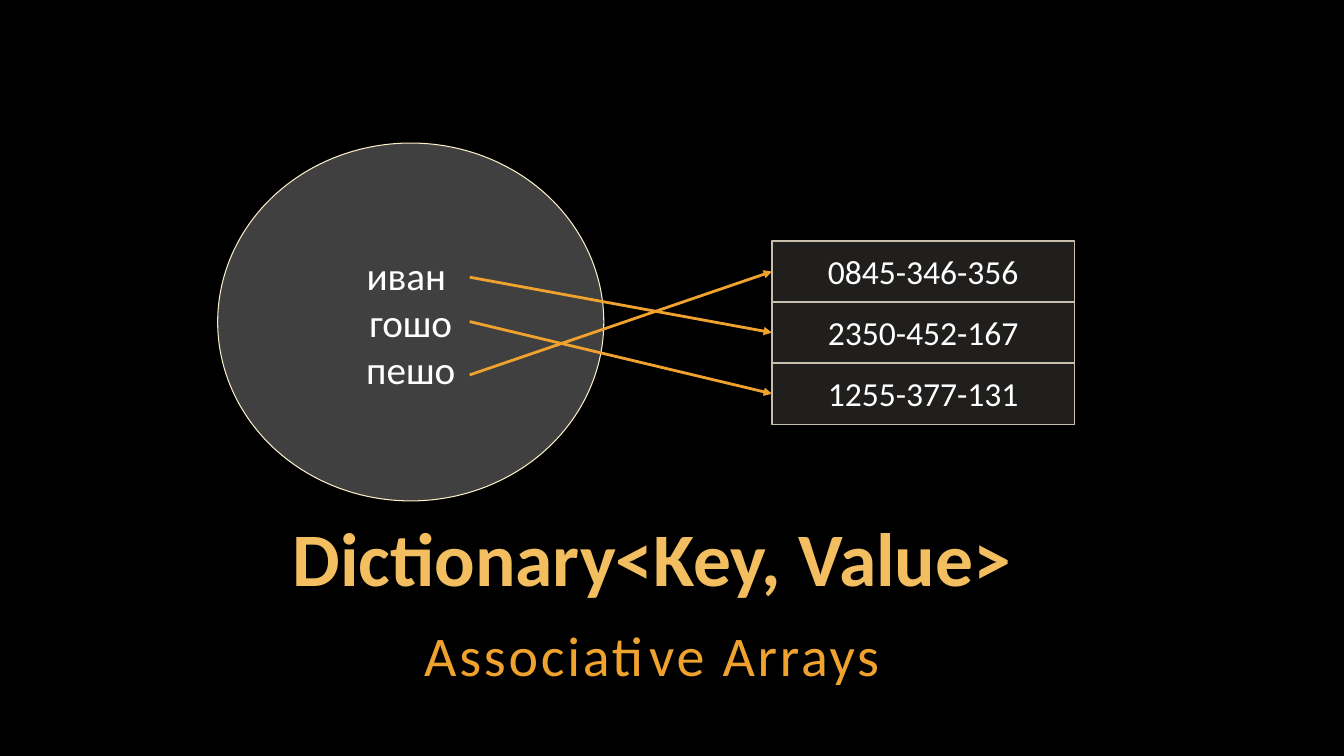
from dataclasses import dataclass

from lxml import etree
from pptx import Presentation
from pptx.dml.color import RGBColor
from pptx.enum.shapes import MSO_CONNECTOR, MSO_SHAPE
from pptx.enum.text import MSO_ANCHOR, PP_ALIGN
from pptx.oxml.ns import qn
from pptx.util import Pt

OVAL, RECT = MSO_SHAPE.OVAL, MSO_SHAPE.RECTANGLE
LINE = MSO_CONNECTOR.STRAIGHT
TOP, MID, LOW = MSO_ANCHOR.TOP, MSO_ANCHOR.MIDDLE, MSO_ANCHOR.BOTTOM
CENTER = PP_ALIGN.CENTER


@dataclass(frozen=True)
class Theme:
    font: str = "Calibri"
    back: str = "000000"
    text: str = "FFFFFF"
    title: str = "F3BE60"
    accent: str = "F0A22E"
    disc: str = "808080"
    rim: str = "FBEEC9"
    cell: str = "D9D5C7"
    edge: str = "C7BFAC"
    big: int = 54
    sub: int = 40
    key: int = 28
    value: int = 24


THEME = Theme()
KEYS = ["иван ", "гошо", "пешо"]
VALUES = ["0845-346-356", "2350-452-167", "1255-377-131"]
LINKS = [1, 2, 0]  # row of the value that each key points to


def rgb(code):
    return RGBColor.from_string(code)


def write(shape, lines, size, color, anchor, inset, bold=False):
    """Fill a shape with centred lines of one style."""
    frame = shape.text_frame
    frame.word_wrap = True
    frame.vertical_anchor = anchor
    frame.margin_left = frame.margin_right = Pt(inset[0])
    frame.margin_top = frame.margin_bottom = Pt(inset[1])
    frame.text = "\n".join(lines)
    for para in frame.paragraphs:
        para.alignment = CENTER
        for run in para.runs:
            font = run.font
            font.name, font.size, font.bold = THEME.font, Pt(size), bold
            font.color.rgb = rgb(color)
    return frame.paragraphs[0]


def add_form(slide, kind, box, fill, alpha, edge, width):
    """Add a preset shape with a translucent fill."""
    form = slide.shapes.add_shape(kind, *map(Pt, box))
    form.shadow.inherit = False
    form.fill.solid()
    form.fill.fore_color.rgb = rgb(fill)
    tint = form.fill._xPr.find(qn("a:solidFill"))[0]
    etree.SubElement(tint, qn("a:alpha"), val=str(alpha * 1000))
    form.line.color.rgb = rgb(edge)
    form.line.width = Pt(width)
    return form


def add_arrow(slide, start, end):
    link = slide.shapes.add_connector(LINE, *map(Pt, start + end))
    link.line.color.rgb = rgb(THEME.accent)
    link.line.width = Pt(2)
    etree.SubElement(link.line._get_or_add_ln(), qn("a:tailEnd"), type="triangle")
    etree.SubElement(link._element.spPr, qn("a:effectLst"))


def add_heads(slide, box):
    """Title with the subtitle below it."""
    left, top, width, height = box
    title = slide.shapes.add_textbox(*map(Pt, (left, top, width, 65)))
    para = write(title, ["Dictionary<Key, Value>"], THEME.big, THEME.title,
                 LOW, (3, 3), True)
    para.line_spacing = 0.9

    sub = slide.shapes.add_textbox(*map(Pt, (left, top + 69, width, height - 69)))
    para = write(sub, ["Associative Arrays"], THEME.sub, THEME.accent, TOP, (3, 3))
    para.line_spacing = 1.05
    para.space_after = Pt(6)
    para.runs[0].font._element.set("spc", "200")


def add_keys(slide, box):
    """Disc of keys; returns the point where each arrow starts."""
    disc = add_form(slide, OVAL, box, THEME.disc, 50, THEME.rim, 0.75)
    write(disc, KEYS, THEME.key, THEME.text, MID, (7.2, 3.6))
    left, top = box[:2]
    return [(left + 180, top + drop) for drop in (95.8, 127.5, 165.6)]


def add_values(slide, box):
    """Stack of value cells; returns the middle of each left edge."""
    left, top, width, height = box
    step = height / len(VALUES)
    ends = []
    for row, value in enumerate(VALUES):
        y = top + row * step
        cell = add_form(slide, RECT, (left, y, width, step),
                        THEME.cell, 15, THEME.edge, 1)
        write(cell, [value], THEME.value, THEME.text, TOP, (14.4, 7.2))
        ends.append((left, y + step / 2))
    return ends


def add_map(slide, box):
    """Keys on the left, values on the right, arrows between."""
    left, top, width, height = box
    starts = add_keys(slide, (left, top, 275.8, height))
    ends = add_values(slide, (left + width - 216, top + 69.9, 216, 131))
    for start, row in zip(starts, LINKS):
        add_arrow(slide, start, ends[row])


def main():
    deck = Presentation()
    deck.slide_width, deck.slide_height = Pt(960), Pt(540)
    slide = deck.slides.add_slide(deck.slide_layouts[6])
    slide.background.fill.solid()
    slide.background.fill.fore_color.rgb = rgb(THEME.back)
    add_heads(slide, (113.8, 368.6, 704, 123))
    add_map(slide, (155.5, 102.2, 612, 255.6))
    deck.save("out.pptx")


if __name__ == "__main__":
    main()
